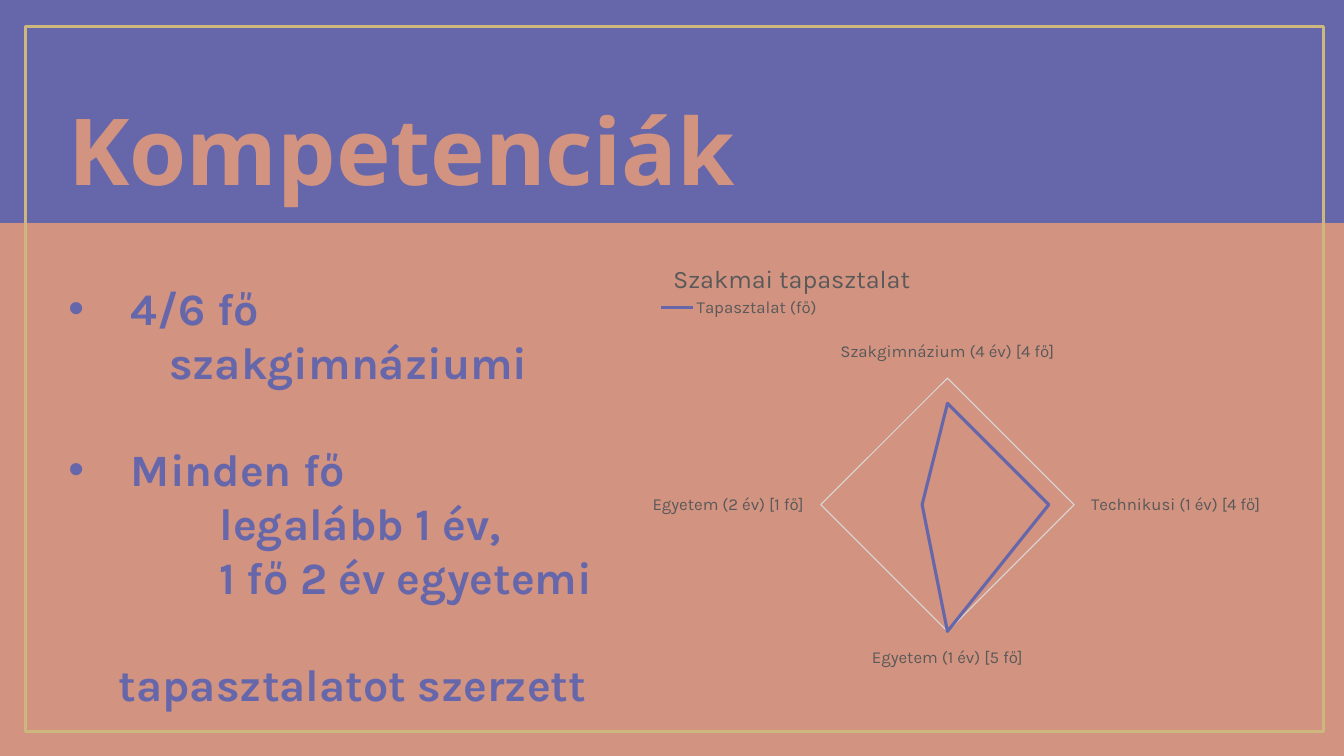
"""Build the competences slide with a radar chart of professional experience."""
from lxml import etree
from pptx import Presentation
from pptx.chart.data import CategoryChartData
from pptx.dml.color import RGBColor
from pptx.enum.chart import XL_CHART_TYPE, XL_LEGEND_POSITION, XL_TICK_LABEL_POSITION, XL_TICK_MARK
from pptx.enum.shapes import MSO_SHAPE
from pptx.oxml import parse_xml
from pptx.oxml.ns import nsdecls, qn
from pptx.util import Inches, Pt

RECTANGLE = MSO_SHAPE.RECTANGLE
RADAR = XL_CHART_TYPE.RADAR
LEGEND_TOP = XL_LEGEND_POSITION.TOP
NO_TICK = XL_TICK_MARK.NONE
NO_LABELS = XL_TICK_LABEL_POSITION.NONE

COLORS = {"violet": "6667AB", "salmon": "D29381", "gold": "CCB87E", "gray": "595959", "grid": "D9D9D9"}
PANELS = [
    ((0, 2.21, 13.33, 5.29), "salmon", None),
    ((0, 0, 13.33, 2.21), "violet", None),
    ((0.25, 0.26, 12.88, 7), None, "gold"),
]
TITLE = "Kompetenciák"
TITLE_FORMAT = {"name": "Open Sans", "size": Pt(66), "bold": True}
BODY_FORMAT = {"name": "Karla", "size": Pt(32), "bold": True}
BULLET_INDENT = 0.62
GAP = Pt(38)
LINES = [
    ("4/6 fő", BULLET_INDENT, True, 0),
    ("szakgimnáziumi", 1, False, 0),
    ("Minden fő", BULLET_INDENT, True, GAP),
    ("legalább 1 év,", 1.5, False, 0),
    ("1 fő 2 év egyetemi", 1.5, False, 0),
    ("tapasztalatot szerzett", 0.5, False, GAP),
]
CHART_BOX = (6.24, 2.34, 6.51, 4.41)
CHART_TITLE = "Szakmai tapasztalat"
SERIES_NAME = "Tapasztalat (fő)"
EXPERIENCE = {
    "Szakgimnázium (4 év) [4 fő]": 80,
    "Technikusi (1 év) [4 fő]": 80,
    "Egyetem (1 év) [5 fő]": 100,
    "Egyetem (2 év) [1 fő]": 20,
}
AXIS_FORMAT = {
    "minimum_scale": 0, "maximum_scale": 100, "major_unit": 100, "has_major_gridlines": True,
    "major_tick_mark": NO_TICK, "tick_label_position": NO_LABELS, "visible": False,
}
CHART_FONT = {"name": "Karla", "size": Pt(12), "bold": False}
CHART_TITLE_FONT = {"name": "Karla", "size": Pt(18), "bold": False}


def rgb(name):
    """Return the named palette colour."""
    return RGBColor.from_string(COLORS[name])


def apply(target, values):
    """Set every attribute in values on the target."""
    for name, value in values.items():
        setattr(target, name, value)


def style_font(font, values, color):
    """Format a font and colour it."""
    apply(font, values)
    font.color.rgb = rgb(color)


def style_line(line, color, width):
    """Colour a line and set its width in points."""
    line.color.rgb = rgb(color)
    line.width = Pt(width)


def add_panel(slide, box, fill, outline):
    """Add a rectangle with a fill or an outline."""
    shape = slide.shapes.add_shape(RECTANGLE, *map(Inches, box))
    shape.shadow.inherit = False
    if fill:
        shape.fill.solid()
        shape.fill.fore_color.rgb = rgb(fill)
    else:
        shape.fill.background()
    if outline:
        style_line(shape.line, outline, 2)
    else:
        shape.line.fill.background()


def add_text(slide, box, lines, values, color):
    """Add a text box holding indented, optionally bulleted lines."""
    frame = slide.shapes.add_textbox(*map(Inches, box)).text_frame
    frame.word_wrap = True
    for index, (text, margin, bulleted, gap) in enumerate(lines):
        paragraph = frame.add_paragraph() if index else frame.paragraphs[0]
        paragraph.space_before = gap
        run = paragraph.add_run()
        run.text = text
        style_font(run.font, values, color)
        properties = paragraph._p.get_or_add_pPr()
        properties.set("marL", str(Inches(margin)))
        properties.set("indent", str(-Inches(margin) if bulleted else 0))
        if bulleted:
            etree.SubElement(properties, qn("a:buFont")).set("typeface", "Arial")
            etree.SubElement(properties, qn("a:buChar")).set("char", "•")


def layout(target=None, **places):
    """Return a manual chart layout with fractions of the chart size."""
    inner = f'<c:layoutTarget val="{target}"/>' if target else ""
    modes = "".join(f'<c:{key}Mode val="edge"/>' for key in ("x", "y"))
    values = "".join(f'<c:{key} val="{value}"/>' for key, value in places.items())
    return parse_xml(
        f'<c:layout {nsdecls("c")}><c:manualLayout>{inner}{modes}{values}</c:manualLayout></c:layout>')


def place(parent, position, new_layout):
    """Put a layout into a chart part, replacing any present one."""
    for old in parent.findall(qn("c:layout")):
        parent.remove(old)
    parent.insert(position, new_layout)


def add_radar(slide):
    """Add the radar chart of experience."""
    data = CategoryChartData()
    data.categories = list(EXPERIENCE)
    data.add_series(SERIES_NAME, list(EXPERIENCE.values()))
    chart = slide.shapes.add_chart(RADAR, *map(Inches, CHART_BOX), data).chart
    style_font(chart.font, CHART_FONT, "gray")
    frame = chart.chart_title.text_frame
    frame.text = CHART_TITLE
    style_font(frame.paragraphs[0].runs[0].font, CHART_TITLE_FONT, "gray")
    chart.has_legend = True
    apply(chart.legend, {"position": LEGEND_TOP, "include_in_layout": False})
    style_font(chart.legend.font, CHART_FONT, "gray")
    apply(chart.value_axis, AXIS_FORMAT)
    style_line(chart.value_axis.major_gridlines.format.line, "grid", 0.75)
    chart.category_axis.major_tick_mark = NO_TICK
    style_line(chart.category_axis.format.line, "grid", 0.75)
    style_font(chart.category_axis.tick_labels.font, CHART_FONT, "gray")
    series = chart.plots[0].series[0]
    series.smooth = False
    style_line(series.format.line, "violet", 2.25)
    place(chart.chart_title._element, 1, layout(x=0.06, y=0.05))
    place(chart.legend._element, 1, layout(x=0.04, y=0.13))
    plot_area = chart._chartSpace.chart.plotArea
    place(plot_area, 0, layout("inner", x=0.29, y=0.32, w=0.39, h=0.57))


presentation = Presentation()
apply(presentation, {"slide_width": Inches(13.33), "slide_height": Inches(7.5)})
slide = presentation.slides.add_slide(presentation.slide_layouts[6])
slide.background.fill.solid()
slide.background.fill.fore_color.rgb = rgb("violet")
for panel in PANELS:
    add_panel(slide, *panel)
add_text(slide, (0.58, 0.87, 9.29, 1.21), [(TITLE, 0, False, 0)], TITLE_FORMAT, "salmon")
add_text(slide, (0.58, 2.74, 6.33, 4.41), LINES, BODY_FORMAT, "violet")
add_radar(slide)
presentation.save("out.pptx")
